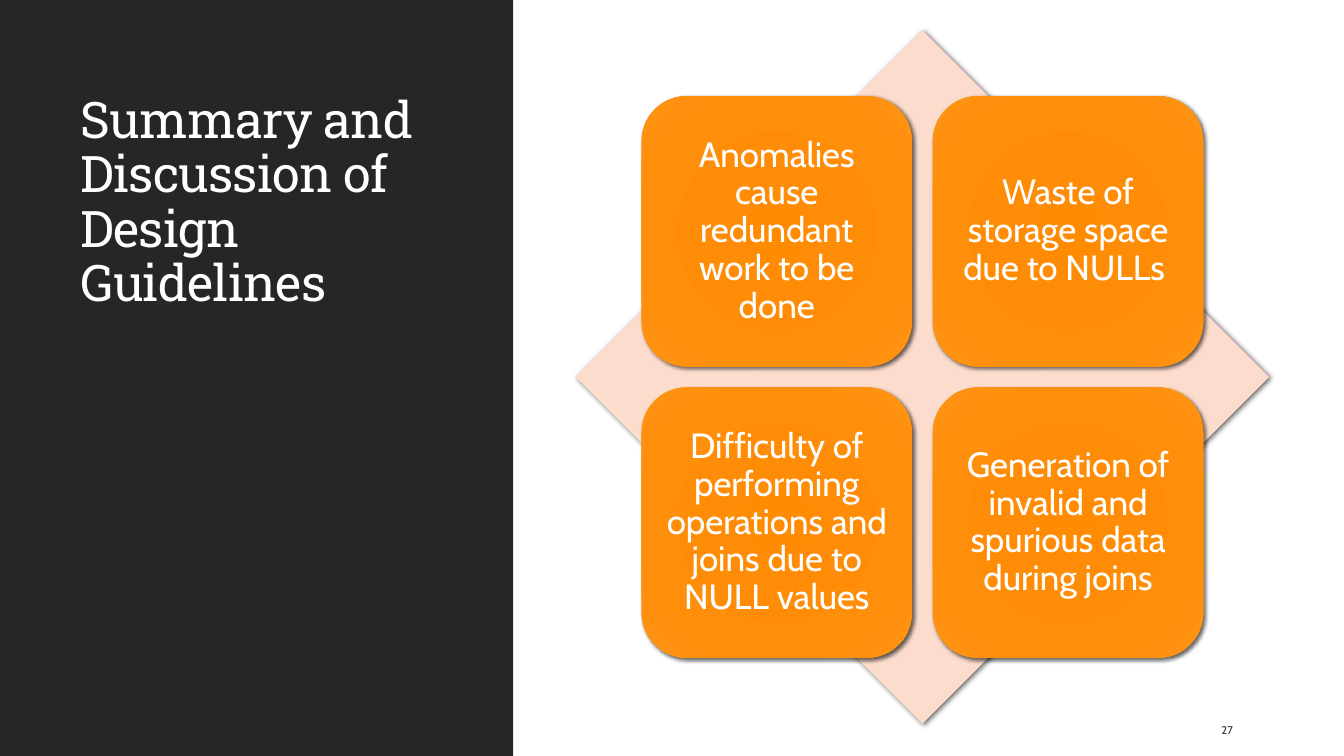
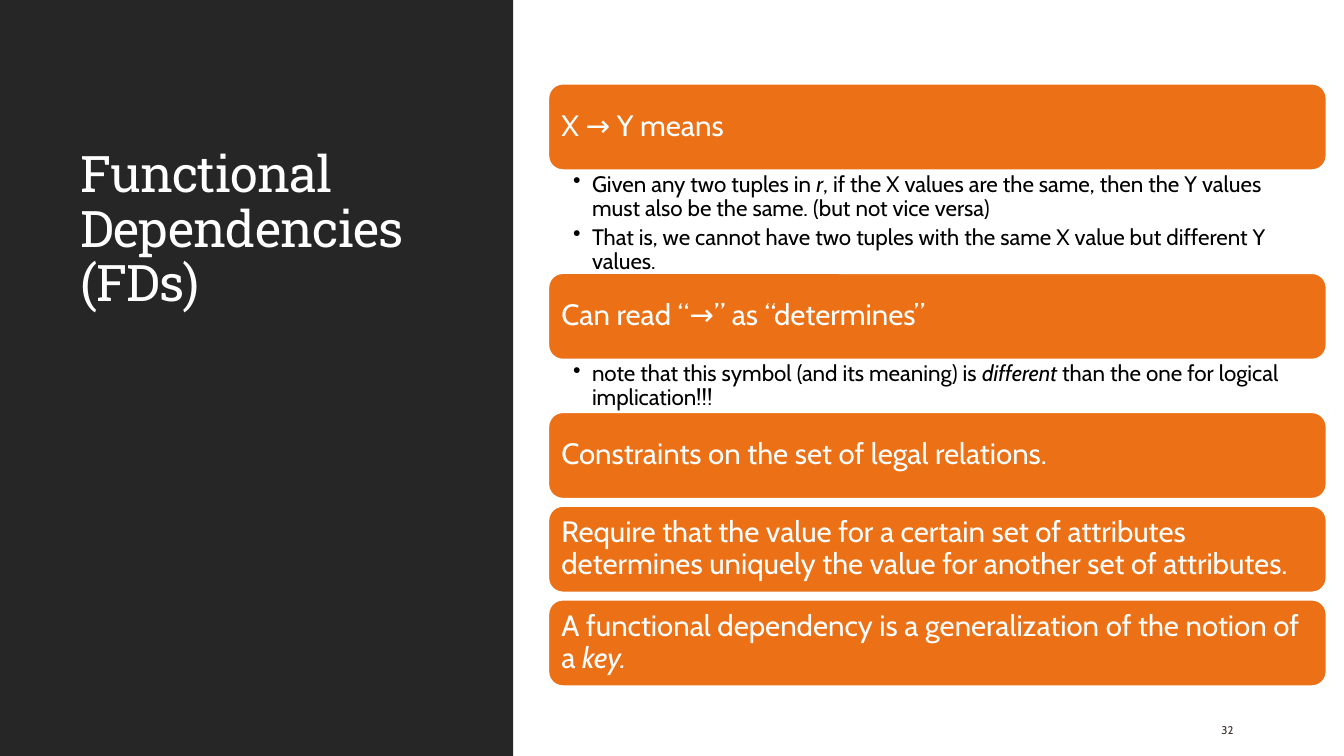
import pptx
import pptx.util
import pptx.dml.color
import pptx.enum.shapes
import pptx.enum.text
import pptx.oxml
from dataclasses import dataclass

Pt = pptx.util.Pt
RGB = pptx.dml.color.RGBColor.from_string
SHAPE = pptx.enum.shapes.MSO_SHAPE
ANCHOR = pptx.enum.text.MSO_ANCHOR
ALIGN = pptx.enum.text.PP_ALIGN
NS = 'xmlns:a="http://schemas.openxmlformats.org/drawingml/2006/main"'

SUMMARY = {
    "title": "Summary and Discussion of Design Guidelines",
    "number": "27",
    "tiles": [
        "Anomalies cause redundant work to be done",
        "Waste of storage space due to NULLs ",
        "Difficulty of performing operations and joins due to NULL values",
        "Generation of invalid and spurious data during joins",
    ],
}
# Text between asterisks is italic.
DEPENDENCIES = {
    "title": "Functional Dependencies (FDs)",
    "number": "32",
    "bars": [
        ("X → Y means", 73.6, [
            "Given any two tuples in *r*, if the X values are the same, then the Y values "
            "must also be the same. (but not vice versa)",
            "That is, we cannot have two tuples with the same X value but different Y values.",
        ]),
        ("Can read “→” as “determines”", 37.7, [
            "note that this symbol (and its meaning) is *different *than the one for logical implication!!!",
        ]),
        ("Constraints on the set of legal relations.", 0, []),
        ("Require that the value for a certain set of attributes determines uniquely "
         "the value for another set of attributes.", 0, []),
        ("A functional dependency is a generalization of the notion of a *key.*", 0, []),
    ],
}


@dataclass(frozen=True)
class Theme:
    panel: str = "262626"
    white: str = "FFFFFF"
    black: str = "000000"
    number: str = "39302A"
    diamond: str = "FCDCCD"
    bar: str = "EC7016"
    tile: tuple = ((0, "FF8B03"), (34, "FF8C06"), (70, "FF8E0A"), (100, "FF9416"))
    heading_font: str = "Roboto Slab"
    body_font: str = "Cabin"
    title_size: float = 36
    tile_size: float = 25
    bar_size: float = 21
    note_size: float = 16
    number_size: float = 8


T = Theme()


def write(shape, texts, size, color, font=T.body_font, align=ALIGN.LEFT,
          anchor=ANCHOR.MIDDLE, insets=(7.2, 3.6, 7.2, 3.6), after=0):
    tf = shape.text_frame
    tf.word_wrap = True
    tf.auto_size = pptx.enum.text.MSO_AUTO_SIZE.NONE
    tf.vertical_anchor = anchor
    tf.margin_left, tf.margin_top, tf.margin_right, tf.margin_bottom = map(Pt, insets)
    for i, text in enumerate(texts):
        p = tf.add_paragraph() if i else tf.paragraphs[0]
        p.alignment, p.line_spacing, p.space_after = align, 0.9, Pt(after)
        p.font.size, p.font.name = Pt(size), font
        p.font.color.rgb = RGB(color)
        for j, part in enumerate(text.split("*")):
            if part:
                r = p.add_run()
                r.text = part
                if j % 2:
                    r.font.italic = True
    return tf


def add_block(s, kind, box, fill, line=None):
    sp = s.shapes.add_shape(kind, *map(Pt, box))
    sp.shadow.inherit = False
    sp.fill.solid()
    sp.fill.fore_color.rgb = RGB(fill)
    if line:
        sp.line.color.rgb = RGB(line)
        sp.line.width = Pt(1.25)
    else:
        sp.line.fill.background()
    return sp


def add_shadow(sp):
    effects = sp._element.spPr.find(pptx.oxml.ns.qn("a:effectLst"))
    effects.append(pptx.oxml.parse_xml(
        f'<a:outerShdw {NS} blurRad="{Pt(3)}" dist="{Pt(2)}" dir="2700000" algn="ctr" rotWithShape="0">'
        f'<a:srgbClr val="{T.black}"><a:alpha val="60000"/></a:srgbClr></a:outerShdw>'))


def add_glow_fill(sp, stops):
    gs = "".join(f'<a:gs pos="{pos * 1000}"><a:srgbClr val="{c}"/></a:gs>' for pos, c in stops)
    solid = sp._element.spPr.find(pptx.oxml.ns.qn("a:solidFill"))
    solid.getparent().replace(solid, pptx.oxml.parse_xml(
        f'<a:gradFill {NS} rotWithShape="1"><a:gsLst>{gs}</a:gsLst><a:path path="circle">'
        '<a:fillToRect l="50000" t="50000" r="50000" b="50000"/></a:path></a:gradFill>'))


def add_slide(prs, content):
    s = prs.slides.add_slide(prs.slide_layouts[5])
    title = s.shapes.title
    panel = add_block(s, SHAPE.RECTANGLE, (0, 0, 366.5, 540), T.panel)
    title._element.addprevious(panel._element)
    title.left, title.top, title.width, title.height = map(Pt, (50.4, 62, 277.2, 165))
    tf = write(title, [content["title"]], T.title_size, T.white, T.heading_font,
               anchor=ANCHOR.BOTTOM)
    tf.paragraphs[0].runs[0]._r.get_or_add_rPr().set("spc", "-50")
    number = s.shapes.add_textbox(*map(Pt, (865.4, 507.6, 61.2, 28.8)))
    write(number, [content["number"]], T.number_size, T.number)
    return s


def add_tile_matrix(s, tiles):
    cx, cy, span, tile, gap = 658.9, 269.3, 495.4, 193.2, 14.9
    diamond = add_block(s, SHAPE.DIAMOND, (cx - span / 2, cy - span / 2, span, span), T.diamond)
    add_shadow(diamond)
    start = tile + gap / 2
    for i, text in enumerate(tiles):
        row, col = divmod(i, 2)
        left = cx - start + col * (tile + gap)
        top = cy - start + row * (tile + gap)
        sp = add_block(s, SHAPE.ROUNDED_RECTANGLE, (left, top, tile, tile), T.tile[0][1])
        add_glow_fill(sp, T.tile)
        add_shadow(sp)
        write(sp, [text], T.tile_size, T.white, align=ALIGN.CENTER, insets=(7.2,) * 4)


def add_bar_list(s, bars):
    left, top, width, height, gap = 391.7, 59.8, 555.8, 61.7, 5.25
    for heading, notes_height, notes in bars:
        sp = add_block(s, SHAPE.ROUNDED_RECTANGLE, (left, top, width, height), T.bar, T.white)
        write(sp, [heading], T.bar_size, T.white, insets=(6.3,) * 4)
        top += height
        if notes:
            box = s.shapes.add_textbox(*map(Pt, (left, top, width, notes_height)))
            tf = write(box, notes, T.note_size, T.black, anchor=ANCHOR.TOP,
                       insets=(17.7, 2, 11.4, 2), after=3.2)
            for p in tf.paragraphs:
                pPr = p._p.get_or_add_pPr()
                pPr.set("marL", str(Pt(13.5)))
                pPr.set("indent", str(-Pt(13.5)))
                pPr.find(pptx.oxml.ns.qn("a:defRPr")).addprevious(
                    pptx.oxml.parse_xml(f'<a:buChar {NS} char="•"/>'))
        top += notes_height or gap


def main():
    prs = pptx.Presentation()
    prs.slide_width, prs.slide_height = Pt(960), Pt(540)
    add_tile_matrix(add_slide(prs, SUMMARY), SUMMARY["tiles"])
    add_bar_list(add_slide(prs, DEPENDENCIES), DEPENDENCIES["bars"])
    prs.save("out.pptx")


if __name__ == "__main__":
    main()
